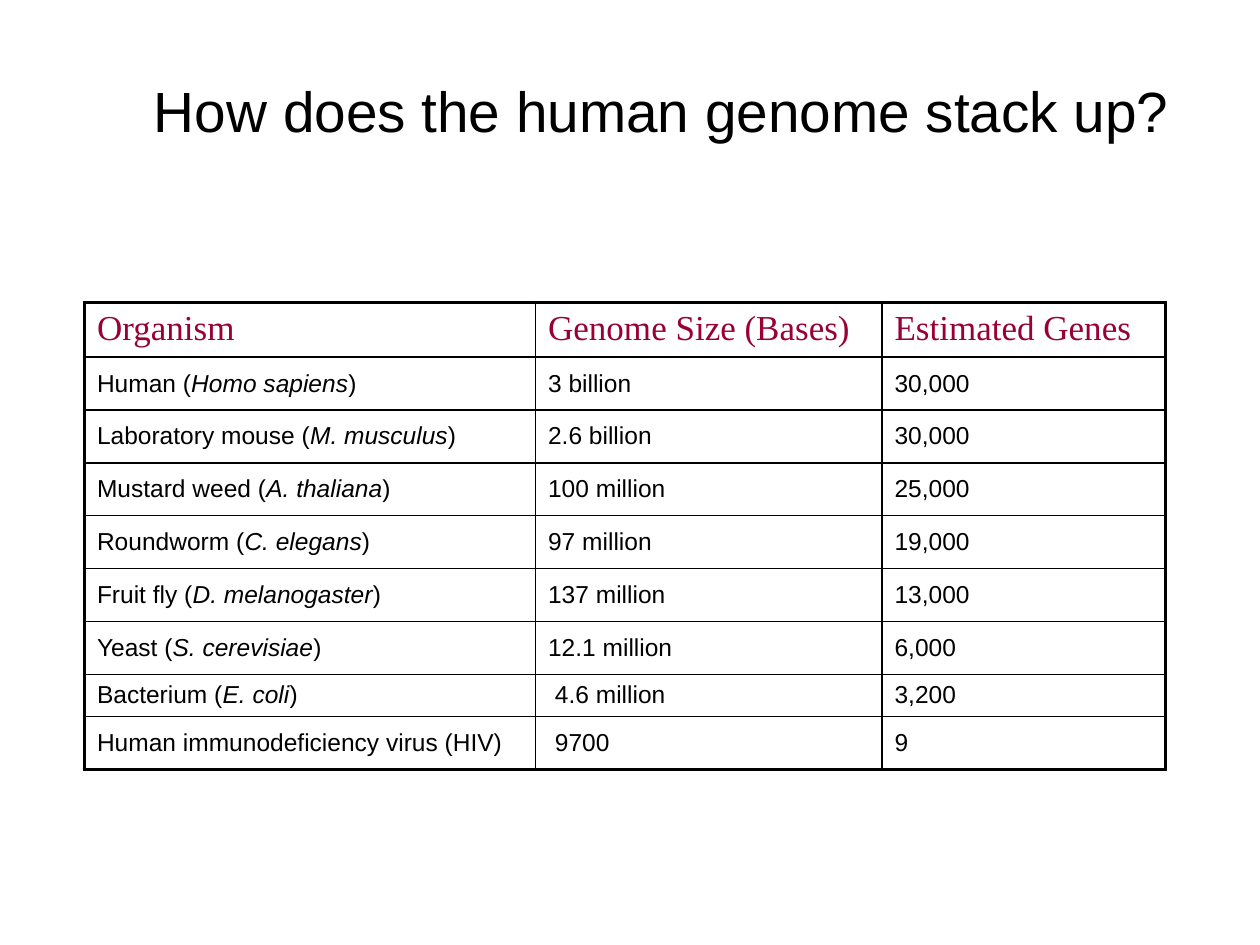
"""Build a slide with a table that compares genome sizes and gene counts."""
from lxml.etree import SubElement
from pptx import Presentation
from pptx.dml.color import RGBColor
from pptx.enum.text import MSO_ANCHOR, PP_ALIGN
from pptx.oxml import parse_xml
from pptx.oxml.ns import nsdecls, qn
from pptx.util import Inches, Pt

BLACK = RGBColor(0x00, 0x00, 0x00)
WINE = RGBColor(0x99, 0x00, 0x33)
THICK, THIN = Pt(2.25), Pt(1)
WIDTHS = [3.58, 2.75, 2.25]
HEIGHTS = [0.43] + [0.42] * 6 + [0.33, 0.42]
ROWS = [
    (["Organism"], "Genome Size (Bases)", "Estimated Genes"),
    (["Human (", "Homo sapiens", ")"], "3 billion", "30,000"),
    (["Laboratory mouse (", "M. musculus", ")"], "2.6 billion", "30,000"),
    (["Mustard weed (", "A. thaliana", ")"], "100 million", "25,000"),
    (["Roundworm (", "C. elegans", ")"], "97 million", "19,000"),
    (["Fruit fly (", "D. melanogaster", ")"], "137 million", "13,000"),
    (["Yeast (", "S. cerevisiae", ")"], "12.1 million", "6,000"),
    (["Bacterium (", "E. coli", ")"], " 4.6 million", "3,200"),
    (["Human immunodeficiency virus (HIV)"], " 9700", "9"),
]


def add_run(para, text, face, size, color, slant=False):
    run = para.add_run()
    run.text = text
    run.font.name = face
    run.font.size = Pt(size)
    run.font.color.rgb = color
    run.font.italic = slant


def add_edges(cell, edges):
    props = cell._tc.get_or_add_tcPr()
    for i, (side, width) in enumerate(edges.items()):
        line = parse_xml(f'<a:ln{side} {nsdecls("a")} w="{width}"/>')
        fill = SubElement(line, qn("a:solidFill"))
        SubElement(fill, qn("a:srgbClr")).set("val", str(BLACK))
        props.insert(i, line)


prs = Presentation()
prs.slide_width, prs.slide_height = Inches(10), Inches(7.5)
slide = prs.slides.add_slide(prs.slide_layouts[6])

title = slide.shapes.add_textbox(Inches(1), Inches(0.25), Inches(8.5), Inches(1.25))
frame = title.text_frame
frame.word_wrap = True
frame.vertical_anchor = MSO_ANCHOR.MIDDLE
para = frame.paragraphs[0]
para.alignment = PP_ALIGN.CENTER
add_run(para, "How does the human genome stack up?", "Arial", 32.4, BLACK)

last, end = len(ROWS) - 1, len(WIDTHS) - 1
table = slide.shapes.add_table(
    len(ROWS), len(WIDTHS), Inches(0.67), Inches(2.4),
    Inches(sum(WIDTHS)), Inches(sum(HEIGHTS)),
).table
table.horz_banding = False
for col, width in zip(table.columns, WIDTHS):
    col.width = Inches(width)
for row, height in zip(table.rows, HEIGHTS):
    row.height = Inches(height)

for r, (name, *values) in enumerate(ROWS):
    head = r == 0
    face, size, color = ("Times New Roman", 20, WINE) if head else ("Arial", 14, BLACK)
    for c, parts in enumerate([name] + [[value] for value in values]):
        cell = table.cell(r, c)
        cell.fill.background()
        cell.vertical_anchor = MSO_ANCHOR.TOP if head else MSO_ANCHOR.MIDDLE
        add_edges(cell, {
            "L": THICK if c == 0 else THIN,
            "R": THICK if c == end else THIN,
            "T": THICK if head else THIN,
            "B": THICK if r == last else THIN,
        })
        para = cell.text_frame.paragraphs[0]
        for i, part in enumerate(parts):
            add_run(para, part, face, size, color, slant=i == 1)
        para.font.bold = False
        for run in para.runs:
            run.font.bold = False

prs.save("out.pptx")
